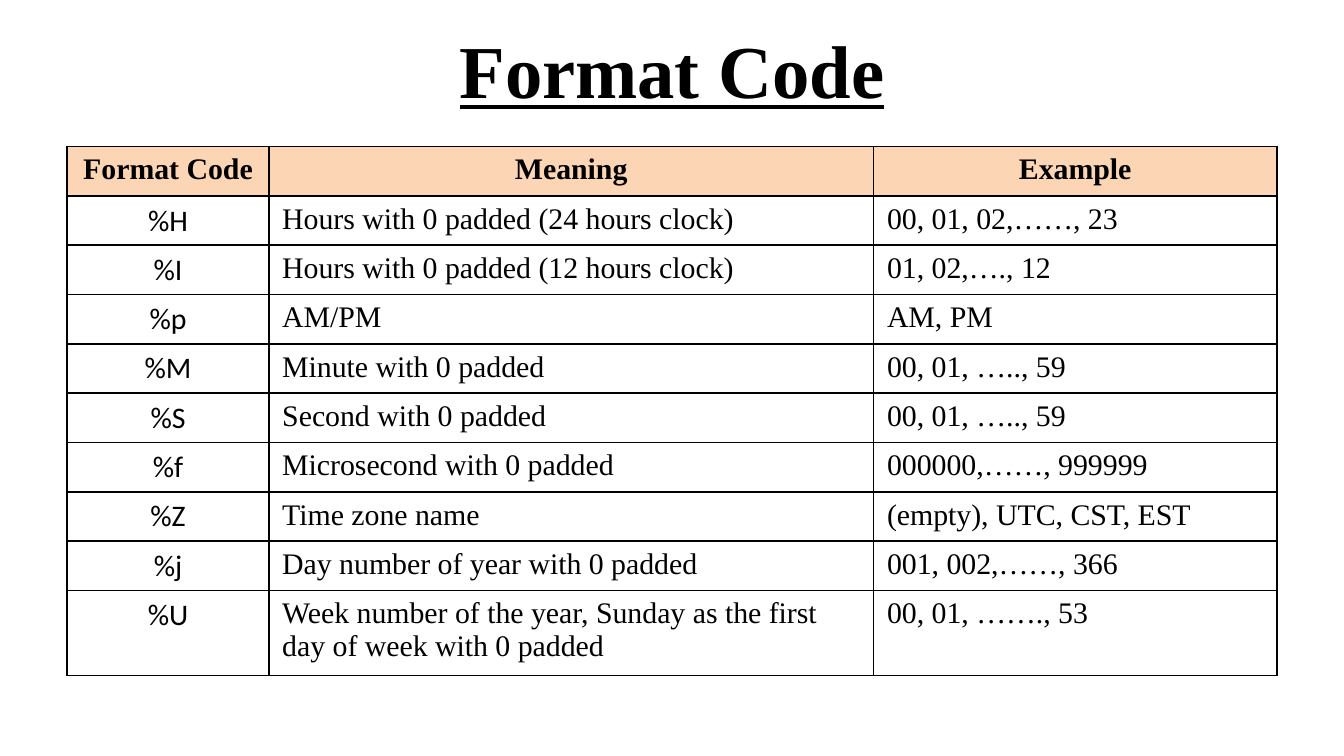
from lxml import etree
from pptx import Presentation
from pptx.dml.color import RGBColor
from pptx.enum.text import MSO_ANCHOR, PP_ALIGN
from pptx.oxml.ns import qn
from pptx.util import Inches, Pt

TITLE = "Format Code"
HEADERS = ("Format Code", "Meaning", "Example")
CODES = [
    ("%H", "Hours with 0 padded (24 hours clock)", "00, 01, 02,……, 23"),
    ("%I", "Hours with 0 padded (12 hours clock)", "01, 02,…., 12"),
    ("%p", "AM/PM", "AM, PM"),
    ("%M", "Minute with 0 padded", "00, 01, ….., 59"),
    ("%S", "Second with 0 padded", "00, 01, ….., 59"),
    ("%f", "Microsecond with 0 padded", "000000,……, 999999"),
    ("%Z", "Time zone name", "(empty), UTC, CST, EST"),
    ("%j", "Day number of year with 0 padded", "001, 002,……, 366"),
    ("%U", "Week number of the year, Sunday as the first day of week with 0 padded",
     "00, 01, ……., 53"),
]
SLIDE_WIDTH = 10
SLIDE_HEIGHT = SLIDE_WIDTH * 9 / 16
MARGIN = 0.5
COLUMN_WIDTHS = (1.5, 4.5, 3)
MINIMUM_ROW_HEIGHT = 0.25  # rows grow to fit their text
TABLE_HEIGHT = 3.93

THEME = {
    "text": RGBColor(0x00, 0x00, 0x00),
    "header_fill": RGBColor(0xFC, 0xD5, 0xB5),
    "border": "000000",
    "border_width": Pt(1),
    "title_size": Pt(40),
    "table_size": Pt(16),
    "serif": "Times New Roman",
    "sans": "Calibri",
}


def write(text_frame, text, size, font, alignment, bold=False, underline=False):
    paragraph = text_frame.paragraphs[0]
    paragraph.alignment = alignment
    run = paragraph.add_run()
    run.text = text
    run.font.name = font
    run.font.size = size
    run.font.bold = bold
    run.font.underline = underline
    run.font.color.rgb = THEME["text"]


def add_borders(cell):
    properties = cell._tc.get_or_add_tcPr()
    for side in ("a:lnL", "a:lnR", "a:lnT", "a:lnB"):
        line = etree.SubElement(properties, qn(side), w=str(THEME["border_width"]))
        fill = etree.SubElement(line, qn("a:solidFill"))
        etree.SubElement(fill, qn("a:srgbClr"), val=THEME["border"])


def add_title(slide):
    box = slide.shapes.add_textbox(
        Inches(MARGIN), Inches(0.04), Inches(SLIDE_WIDTH - 2 * MARGIN), Inches(0.94))
    box.text_frame.word_wrap = True
    box.text_frame.vertical_anchor = MSO_ANCHOR.MIDDLE
    write(box.text_frame, TITLE, THEME["title_size"], THEME["serif"],
          PP_ALIGN.CENTER, bold=True, underline=True)


def add_code_table(slide):
    rows = [HEADERS] + CODES
    frame = slide.shapes.add_table(
        len(rows), len(HEADERS), Inches(MARGIN), Inches(1.09),
        Inches(sum(COLUMN_WIDTHS)), Inches(TABLE_HEIGHT))
    table = frame.table
    table.first_row = table.horz_banding = False
    for column, width in zip(table.columns, COLUMN_WIDTHS):
        column.width = Inches(width)
    for row in table.rows:
        row.height = Inches(MINIMUM_ROW_HEIGHT)
    frame.height = Inches(TABLE_HEIGHT)

    for row_index, row in enumerate(rows):
        is_header = row_index == 0
        for column_index, text in enumerate(row):
            is_code = column_index == 0 and not is_header
            cell = table.cell(row_index, column_index)
            add_borders(cell)
            if is_header:
                cell.fill.solid()
                cell.fill.fore_color.rgb = THEME["header_fill"]
            else:
                cell.fill.background()
            write(cell.text_frame, text, THEME["table_size"],
                  THEME["sans"] if is_code else THEME["serif"],
                  PP_ALIGN.CENTER if is_header or is_code else PP_ALIGN.LEFT,
                  bold=is_header)


def main():
    presentation = Presentation()
    presentation.slide_width = Inches(SLIDE_WIDTH)
    presentation.slide_height = Inches(SLIDE_HEIGHT)
    slide = presentation.slides.add_slide(presentation.slide_layouts[6])
    add_title(slide)
    add_code_table(slide)
    presentation.save("out.pptx")


if __name__ == "__main__":
    main()
